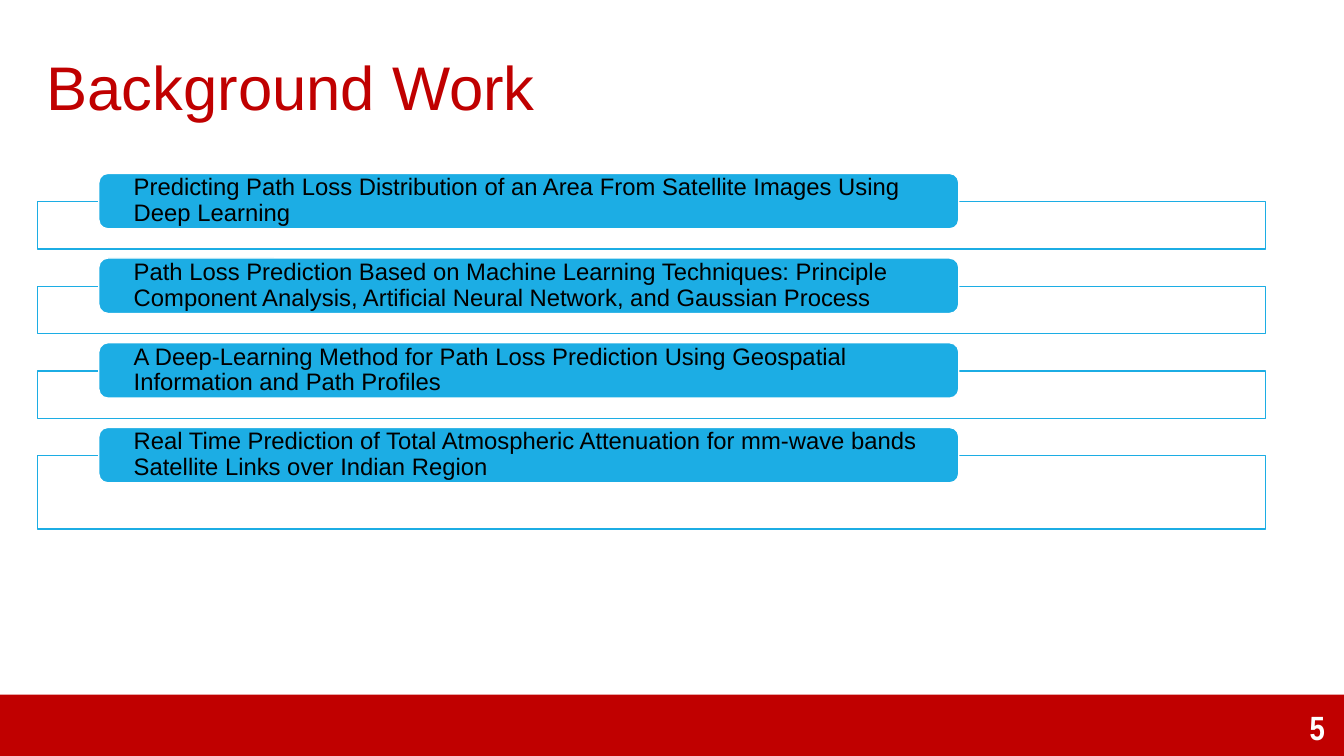
from dataclasses import dataclass

import pptx
import pptx.dml.color
import pptx.enum.shapes
import pptx.enum.text
import pptx.oxml
import pptx.oxml.ns
import pptx.util

Inches = pptx.util.Inches
Pt = pptx.util.Pt
SHAPE = pptx.enum.shapes.MSO_SHAPE
ALIGN = pptx.enum.text.PP_ALIGN
ANCHOR = pptx.enum.text.MSO_ANCHOR

RED, BLUE, WHITE, BLACK = "C00000", "1CADE4", "FFFFFF", "000000"
FIRST_TOP, PITCH = 2, 0.84


@dataclass
class Paper:
    title: str
    frame_height: float = 0.47


PAPERS = [
    Paper("Predicting Path Loss Distribution of an Area From Satellite Images Using Deep Learning"),
    Paper("Path Loss Prediction Based on Machine Learning Techniques: Principle Component Analysis, "
          "Artificial Neural Network, and Gaussian Process"),
    Paper("A Deep-Learning Method for Path Loss Prediction Using Geospatial Information and Path Profiles"),
    Paper("Real Time Prediction of Total Atmospheric Attenuation for mm-wave bands "
          "Satellite Links over Indian Region", 0.73),
]


def rgb(value: str) -> pptx.dml.color.RGBColor:
    return pptx.dml.color.RGBColor.from_string(value)


def set_attributes(target, values: dict) -> None:
    for name, value in values.items():
        setattr(target, name, value)


def place(sp, left: float, top: float, width: float, height: float) -> None:
    box = {"left": left, "top": top, "width": width, "height": height}
    set_attributes(sp, {name: Inches(value) for name, value in box.items()})


def write(sp, text: str, color: str, font: dict, paragraph: dict, frame: dict) -> None:
    tf = sp.text_frame
    set_attributes(tf, {"word_wrap": True, "auto_size": pptx.enum.text.MSO_AUTO_SIZE.NONE, **frame})
    p = tf.paragraphs[0]
    set_attributes(p, paragraph)
    r = p.add_run()
    r.text = text
    set_attributes(r.font, font)
    r.font.color.rgb = rgb(color)


def add_box(s, kind, box: tuple, fill: str, line: str | None = None, alpha: int = 100):
    sp = s.shapes.add_shape(kind, *map(Inches, box))
    sp.shadow.inherit = False
    sp.fill.solid()
    sp.fill.fore_color.rgb = rgb(fill)
    if alpha < 100:
        color = sp.fill._xPr.find(".//" + pptx.oxml.ns.qn("a:srgbClr"))
        color.append(pptx.oxml.parse_xml(
            f'<a:alpha {pptx.oxml.ns.nsdecls("a")} val="{alpha * 1000}"/>'))
    if line:
        sp.line.color.rgb = rgb(line)
        sp.line.width = Pt(1)
    else:
        sp.line.fill.background()
    return sp


def add_paper(s, paper: Paper, top: float) -> None:
    add_box(s, SHAPE.RECTANGLE, (0.37, top, 12.18, paper.frame_height), WHITE, BLUE, 90)
    sp = add_box(s, SHAPE.ROUNDED_RECTANGLE, (0.98, top - 0.28, 8.53, 0.55), BLUE, WHITE)
    write(sp, paper.title, BLACK,
          {"name": "Arial", "size": Pt(17)},
          {"alignment": ALIGN.LEFT, "line_spacing": 0.9},
          {"vertical_anchor": ANCHOR.MIDDLE, "margin_left": Inches(0.32),
           "margin_right": Inches(0.32), "margin_top": 0, "margin_bottom": 0})


def main() -> None:
    prs = pptx.Presentation()
    set_attributes(prs, {"slide_width": Inches(13.33), "slide_height": Inches(7.5)})
    s = prs.slides.add_slide(prs.slide_layouts.get_by_name("Title Only"))

    title = s.shapes.title
    place(title, 0.36, 0.5, 12.63, 0.8)
    write(title, "Background Work", RED,
          {"name": "Arial", "size": Pt(44)},
          {"alignment": ALIGN.LEFT, "line_spacing": 0.9},
          {"vertical_anchor": ANCHOR.MIDDLE})

    add_box(s, SHAPE.RECTANGLE, (0, 6.89, 13.33, 0.61), RED)
    number = s.shapes.add_textbox(*map(Inches, (12.5, 7, 0.74, 0.46)))
    write(number, "5", WHITE,
          {"name": "Arial Narrow", "size": Pt(24), "bold": True},
          {"alignment": ALIGN.RIGHT},
          {"vertical_anchor": ANCHOR.BOTTOM})

    for i, paper in enumerate(PAPERS):
        add_paper(s, paper, FIRST_TOP + i * PITCH)

    prs.save("out.pptx")


if __name__ == "__main__":
    main()
